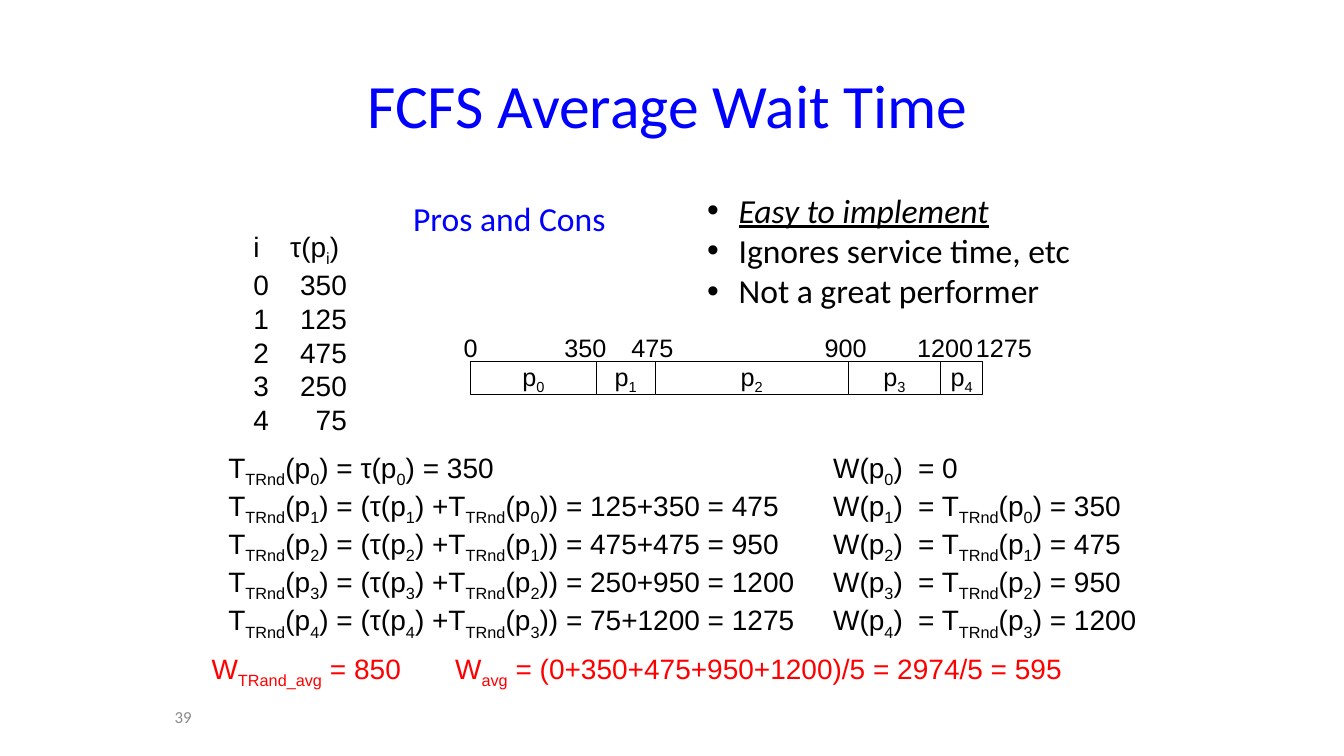
from itertools import accumulate

from lxml import etree
from pptx import Presentation, util as u
from pptx.dml.color import RGBColor
from pptx.enum import shapes, text
from pptx.oxml.ns import qn

PX = 9525  # EMU in one px, 96 px to the inch
BLACK, BLUE, RED, GREY, WHITE = "000000", "0000FF", "FF0000", "898989", "FFFFFF"
LEFT, CENTER, RIGHT = text.PP_ALIGN.LEFT, text.PP_ALIGN.CENTER, text.PP_ALIGN.RIGHT

SERVICE = [350, 125, 475, 250, 75]
FINISH = list(accumulate(SERVICE))
BAR_EDGES = [448, 568, 624, 808, 896, 936]
BAR_LABELS = [("0", 432, 33), ("350", 528, 60), ("475", 592, 60),
              ("900", 776, 60), ("1200", 864, 73), ("1275", 920, 73)]


def px(*lengths):
    return [u.Emu(length * PX) for length in lengths]


def color(code):
    return RGBColor.from_string(code)


def add_bullet(para, indent):
    props = para._p.get_or_add_pPr()
    props.set("marL", str(indent * PX))
    props.set("indent", str(-indent * PX))
    etree.SubElement(props, qn("a:buFont"), typeface="Arial")
    etree.SubElement(props, qn("a:buChar"), char="•")


def add_tabs(para, tabs):
    stops = etree.SubElement(para._p.get_or_add_pPr(), qn("a:tabLst"))
    for position, side in tabs:
        etree.SubElement(stops, qn("a:tab"), pos=str(position * PX), algn=side)


def write(para, words, size=20, font="Arial", ink=BLACK, align=LEFT,
          emphasis=False, bullet=0, tabs=()):
    """Fill a paragraph; words in square brackets become subscripts."""
    if bullet:
        add_bullet(para, bullet)
    if tabs:
        add_tabs(para, tabs)
    para.alignment = align
    for index, piece in enumerate(words.replace("]", "[").split("[")):
        if not piece:
            continue
        span = para.add_run()
        span.text = piece
        span.font.size = u.Pt(size)
        span.font.name = font
        span.font.color.rgb = color(ink)
        if emphasis:
            span.font.italic = span.font.underline = True
        if index % 2:
            span._r.get_or_add_rPr().set("baseline", "-25000")


def add_text(page, place, lines, wrap=False, middle=False, **style):
    box = page.shapes.add_textbox(*px(*place))
    frame = box.text_frame
    frame.word_wrap = wrap
    if middle:
        frame.vertical_anchor = text.MSO_ANCHOR.MIDDLE
    else:
        frame.auto_size = text.MSO_AUTO_SIZE.SHAPE_TO_FIT_TEXT
    for index, line in enumerate(lines):
        para = frame.add_paragraph() if index else frame.paragraphs[0]
        write(para, line, **style)
    return box


def add_bar(page, left, right, words):
    bar = page.shapes.add_shape(shapes.MSO_SHAPE.RECTANGLE,
                                *px(left, 344, right - left, 32))
    bar.shadow.inherit = False
    bar.fill.solid()
    bar.fill.fore_color.rgb = color(WHITE)
    bar.line.color.rgb = color(BLACK)
    bar.line.width = u.Pt(0.75)
    bar.text_frame.word_wrap = False
    bar.text_frame.vertical_anchor = text.MSO_ANCHOR.MIDDLE
    write(bar.text_frame.paragraphs[0], words, size=18, align=CENTER)


def add_timeline(page):
    for index, (left, right) in enumerate(zip(BAR_EDGES, BAR_EDGES[1:])):
        add_bar(page, left, right, f"p[{index}]")
    for label, left, width in BAR_LABELS:
        add_text(page, (left, 312, width, 38), [label], size=18)


def add_service_times(page):
    place = (232, 214, 110, 204)
    box = add_text(page, place, ["i\tτ(p[i])"], wrap=True, tabs=[(35, "l")])
    for index, time in enumerate(SERVICE):
        write(box.text_frame.add_paragraph(), f"{index}\t{time}", tabs=[(89, "r")])


def add_formulas(page):
    turnaround = [f"T[TRnd](p[0]) = τ(p[0]) = {FINISH[0]}"]
    waiting = ["W(p[0])\t= 0"]
    for i in range(1, len(SERVICE)):
        before = f"T[TRnd](p[{i - 1}])"
        turnaround.append(f"T[TRnd](p[{i}]) = (τ(p[{i}]) +{before}) = "
                          f"{SERVICE[i]}+{FINISH[i - 1]} = {FINISH[i]}")
        waiting.append(f"W(p[{i}])\t= {before} = {FINISH[i - 1]}")
    add_text(page, (208, 424, 578, 171), turnaround)
    add_text(page, (784, 424, 319, 171), waiting, wrap=True, tabs=[(81, "l")])


def add_pros_and_cons(page):
    style = dict(size=24, font="Calibri")
    add_text(page, (384, 184, 304, 48), ["Pros and Cons"], wrap=True, ink=BLUE, **style)
    box = add_text(page, (664, 176, 368, 126), ["Easy to implement"],
                   emphasis=True, bullet=30, **style)
    for line in ("Ignores service time, etc", "Not a great performer"):
        write(box.text_frame.add_paragraph(), line, bullet=30, **style)


def main():
    deck = Presentation()
    deck.slide_width, deck.slide_height = px(1280, 720)
    page = deck.slides.add_slide(deck.slide_layouts[6])

    # Heading
    add_text(page, (232, 77, 808, 43), ["FCFS Average Wait Time"], wrap=True,
             middle=True, size=44, font="Calibri", ink=BLUE, align=CENTER)

    # Service times, schedule and formulas
    add_service_times(page)
    add_timeline(page)
    add_formulas(page)
    add_pros_and_cons(page)

    # Averages
    add_text(page, (192, 616, 212, 42), ["W[TRand_avg] = 850"], ink=RED)
    add_text(page, (424, 616, 604, 42),
             ["W[avg] = (0+350+475+950+1200)/5 = 2974/5 = 595"], ink=RED)

    # Page number
    add_text(page, (54, 664, 138, 38), ["39"], wrap=True, middle=True,
             size=12, font="Calibri", ink=GREY, align=RIGHT)

    deck.save("out.pptx")


if __name__ == "__main__":
    main()
